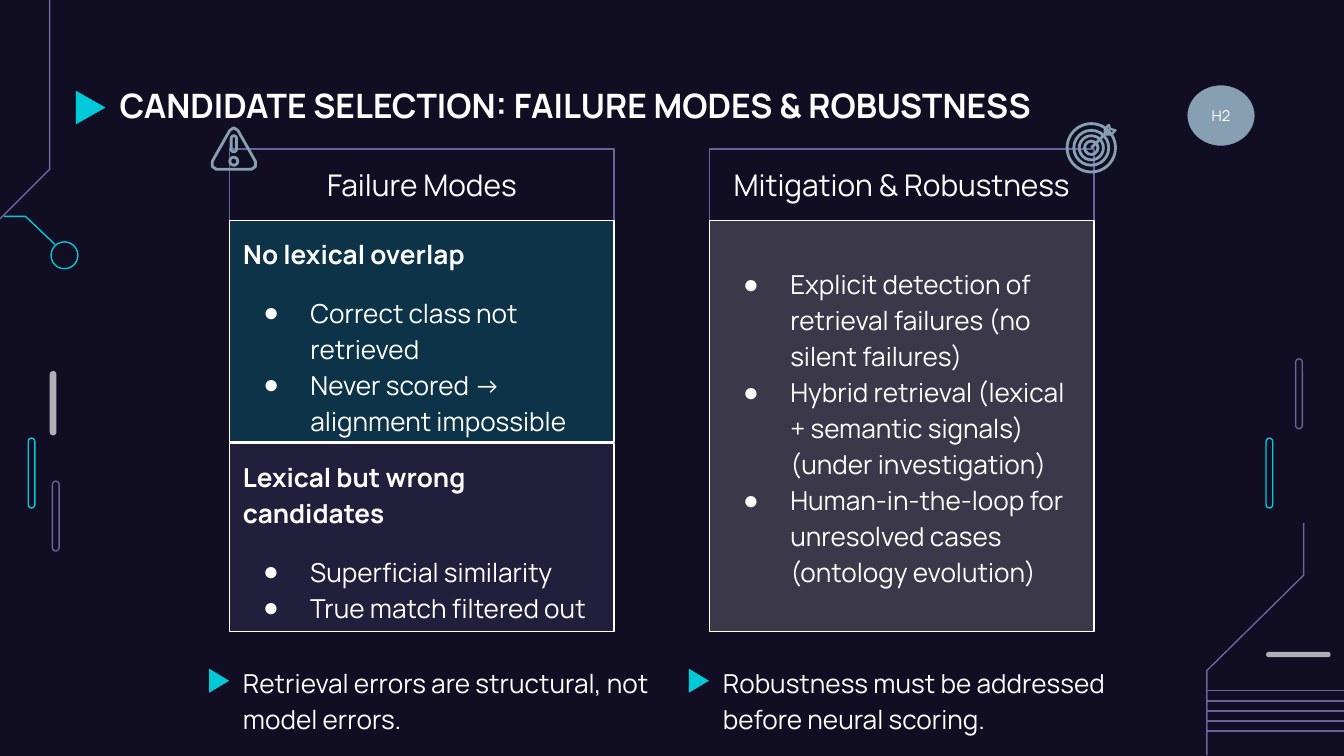
"""Build the slide on failure modes and robustness of candidate selection."""
from lxml.etree import SubElement
from pptx import Presentation
from pptx.dml.color import RGBColor
from pptx.enum.shapes import MSO_CONNECTOR as LINK, MSO_SHAPE as SHAPE
from pptx.enum.text import MSO_ANCHOR as ANCHOR, MSO_AUTO_SIZE as AUTO, PP_ALIGN as ALIGN
from pptx.oxml.ns import qn
from pptx.util import Inches, Pt

hex_color = RGBColor.from_string
NIGHT, WHITE, CYAN, PURPLE, STEEL, GRAY = "110E24", "FFFFFF", "00CADA", "69639C", "869FB2", "AFAFB6"


def style(shape, fill=None, line=None, width=0.75, alpha=None):
    shape.shadow.inherit = False
    if fill:
        shape.fill.solid()
        shape.fill.fore_color.rgb = hex_color(fill)
    else:
        shape.fill.background()
    if alpha:
        tint = shape.fill._xPr.find(qn("a:solidFill"))[0]
        SubElement(tint, qn("a:alpha"), val=str(alpha * 1000))
    if line:
        shape.line.color.rgb = hex_color(line)
        shape.line.width = Pt(width)
    else:
        shape.line.fill.background()


def write(shape, size, heading=None, bullets=(), bold=False, align=ALIGN.LEFT,
          anchor=ANCHOR.TOP, spacing=1.15):
    frame = shape.text_frame
    frame.auto_size, frame.word_wrap, frame.vertical_anchor = AUTO.NONE, True, anchor
    frame.margin_left = frame.margin_right = frame.margin_top = frame.margin_bottom = Inches(0.1)
    lines = ([heading] if heading else []) + list(bullets)
    for i, text in enumerate(lines):
        paragraph = frame.paragraphs[0] if i == 0 else frame.add_paragraph()
        paragraph.text = text
        paragraph.alignment, paragraph.line_spacing = align, spacing
        paragraph.space_before = Pt(12 if heading and i == 1 else 0)
        paragraph.space_after = Pt(0)
        props = paragraph._p.get_or_add_pPr()
        is_bullet = text in bullets
        props.set("marL", str(Inches(0.5 if is_bullet else 0)))
        props.set("indent", str(Inches(-0.35 if is_bullet else 0)))
        if is_bullet:
            SubElement(SubElement(props, qn("a:buClr")), qn("a:srgbClr"), val=WHITE)
            SubElement(props, qn("a:buFont"), typeface="Arial")
            SubElement(props, qn("a:buChar"), char="●")
        else:
            SubElement(props, qn("a:buNone"))
        font = paragraph.font
        font.name, font.size, font.bold = "Manrope", Pt(size), bold and not is_bullet
        font.color.rgb = hex_color(WHITE)


deck = Presentation()
deck.slide_width = Inches(10)
deck.slide_height = deck.slide_width * 9 // 16
slide = deck.slides.add_slide(deck.slide_layouts[4])
slide.background.fill.solid()
slide.background.fill.fore_color.rgb = hex_color(NIGHT)
shapes = slide.shapes
title, failure_head, no_overlap, mitigation_head, mitigation = slide.placeholders
wrong_candidates = shapes.add_shape(SHAPE.RECTANGLE, 0, 0, 0, 0)

LEFT, RIGHT, COLUMN = 1.71, 5.28, 2.86
for box, left, top, width, height in [
    (title, 0.79, 0.49, 8.43, 0.63),
    (failure_head, LEFT, 1.11, COLUMN, 0.53),
    (mitigation_head, RIGHT, 1.11, COLUMN, 0.53),
    (no_overlap, LEFT, 1.64, COLUMN, 1.65),
    (wrong_candidates, LEFT, 3.3, COLUMN, 1.4),
    (mitigation, RIGHT, 1.64, COLUMN, 3.06),
]:
    box.left, box.top, box.width, box.height = map(Inches, (left, top, width, height))

write(title, 18, "CANDIDATE SELECTION: FAILURE MODES & ROBUSTNESS", bold=True)
for head, text in [(failure_head, "Failure Modes"), (mitigation_head, "Mitigation & Robustness")]:
    style(head, line=PURPLE)
    write(head, 16, text, align=ALIGN.CENTER, anchor=ANCHOR.MIDDLE, spacing=1.0)

style(no_overlap, CYAN, WHITE, alpha=20)
write(no_overlap, 14, "No lexical overlap",
      ["Correct class not retrieved", "Never scored → alignment impossible"], bold=True)
style(wrong_candidates, PURPLE, WHITE, alpha=20)
write(wrong_candidates, 14, "Lexical but wrong candidates",
      ["Superficial similarity", "True match filtered out"], bold=True)
style(mitigation, "E0E0E0", WHITE, alpha=20)
write(mitigation, 14, anchor=ANCHOR.MIDDLE, bullets=[
    "Explicit detection of retrieval failures (no silent failures)",
    "Hybrid retrieval (lexical + semantic signals) (under investigation)",
    "Human-in-the-loop for unresolved cases (ontology evolution)",
])

for left, takeaway in [(LEFT, "Retrieval errors are structural, not model errors."),
                       (RIGHT, "Robustness must be addressed before neural scoring.")]:
    note = shapes.add_textbox(Inches(left), Inches(4.83), Inches(3.24), Inches(0.63))
    write(note, 14, takeaway)

for left, top, width, height in [(0.55, 0.69, 0.25, 0.22), (LEFT - 0.17, 4.99, 0.18, 0.15),
                                 (RIGHT - 0.17, 4.99, 0.18, 0.15)]:
    pointer = shapes.add_shape(SHAPE.FLOWCHART_MERGE, *map(Inches, (left, top, width, height)))
    pointer.rotation = 270
    style(pointer, CYAN)

for left, top, width, height, fill, line, weight in [
    (9.42, 3.26, 0.05, 0.52, None, CYAN, 0.75),
    (9.64, 2.67, 0.05, 0.52, None, PURPLE, 0.75),
    (0.21, 3.26, 0.05, 0.52, None, CYAN, 0.75),
    (0.39, 3.58, 0.05, 0.52, None, PURPLE, 0.75),
    (0.37, 2.76, 0.05, 0.48, GRAY, None, 0),
    (9.42, 4.85, 0.48, 0.04, GRAY, None, 0),
    (1.72, 1.01, 0.04, 0.12, None, STEEL, 1.5),
]:
    pill = shapes.add_shape(SHAPE.ROUNDED_RECTANGLE, *map(Inches, (left, top, width, height)))
    pill.adjustments[0] = 0.5
    style(pill, fill, line, weight)

for points, closed, color, weight in [
    ([(0.37, 0), (0.37, 1.26), (0, 1.63)], False, PURPLE, 0.75),
    ([(0.41, 1.82), (0.19, 1.61), (0.03, 1.61)], False, CYAN, 0.75),
    ([(9.7, 3.89), (9.7, 4.28), (8.98, 4.99), (8.98, 5.62)], False, PURPLE, 0.75),
    ([(1.74, 0.95), (1.77, 0.97), (1.9, 1.2), (1.9, 1.24), (1.87, 1.26), (1.61, 1.26),
      (1.58, 1.24), (1.58, 1.2), (1.71, 0.97)], True, STEEL, 1.5),
    ([(8.22, 1), (8.22, 0.96), (8.25, 0.93), (8.26, 0.96), (8.3, 0.97), (8.27, 1)],
     True, STEEL, 1.25),
]:
    start, *rest = [(Inches(x), Inches(y)) for x, y in points]
    builder = shapes.build_freeform(*start)
    builder.add_line_segments(rest, close=closed)
    style(builder.convert_to_shape(), line=color, width=weight)

links = [(8.98, 5.14 + 0.075 * i, 10, 5.14 + 0.075 * i, PURPLE, 0.75) for i in range(5)]
links.append((8.12, 1.1, 8.24, 0.98, STEEL, 1.5))
for x1, y1, x2, y2, color, weight in links:
    link = shapes.add_connector(LINK.STRAIGHT, *map(Inches, (x1, y1, x2, y2)))
    link.line.color.rgb = hex_color(color)
    link.line.width = Pt(weight)
    SubElement(link._element.spPr, qn("a:effectLst"))

circles = [(8.12, 1.1, radius, STEEL, 1.5) for radius in (0.18, 0.13, 0.09, 0.05)]
circles += [(0.48, 1.9, 0.1, CYAN, 0.75), (1.74, 1.2, 0.03, STEEL, 1.5)]
for x, y, radius, color, weight in circles:
    circle = shapes.add_shape(SHAPE.OVAL, Inches(x - radius), Inches(y - radius),
                              Inches(2 * radius), Inches(2 * radius))
    style(circle, line=color, width=weight)

badge = shapes.add_shape(SHAPE.OVAL, Inches(8.83), Inches(0.63), Inches(0.51), Inches(0.46))
style(badge, STEEL, NIGHT)
write(badge, 8, "H2", align=ALIGN.CENTER, anchor=ANCHOR.MIDDLE, spacing=1.0)

deck.save("out.pptx")
